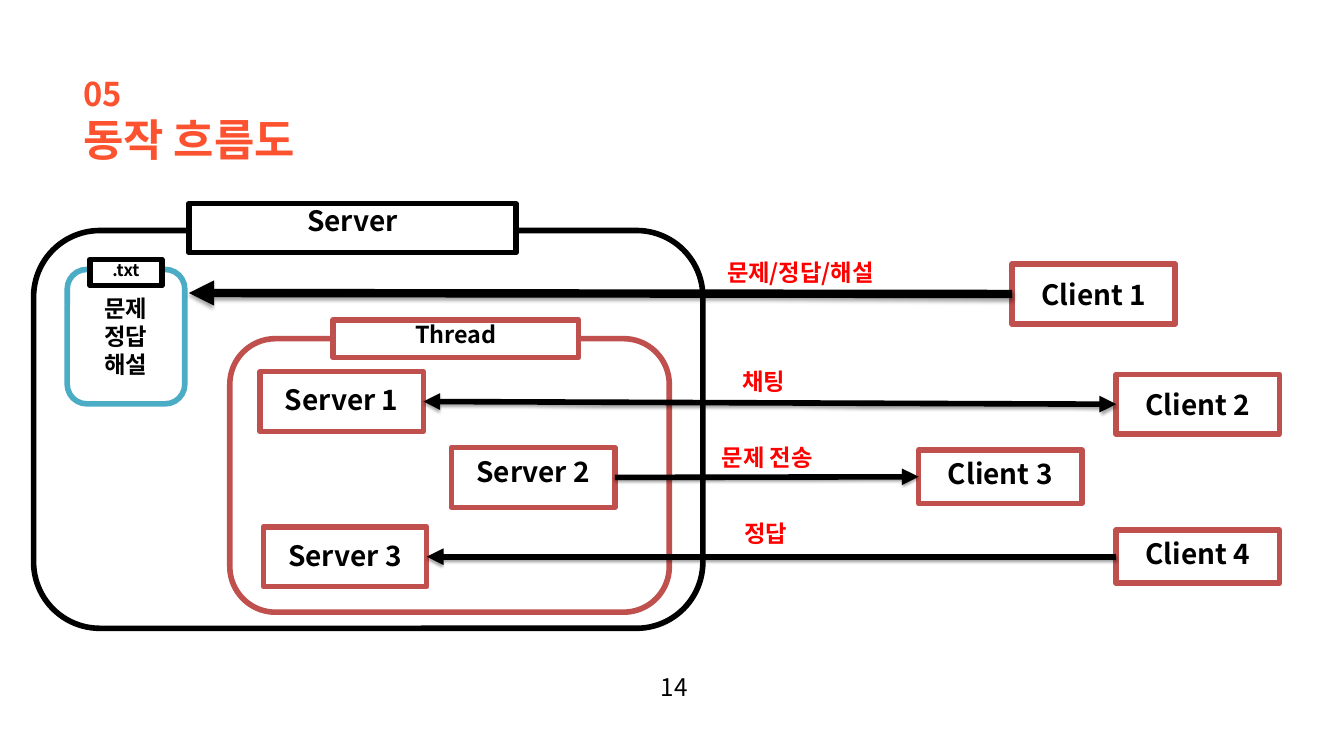
"""Build the slide that shows how the server and its clients exchange data."""
from dataclasses import dataclass

from lxml.etree import SubElement as Sub
from pptx import Presentation
from pptx.dml.color import RGBColor as Rgb
from pptx.enum.shapes import MSO_CONNECTOR as Conn, MSO_SHAPE as Kind
from pptx.enum.text import MSO_ANCHOR as Anchor, PP_ALIGN as Align
from pptx.oxml.ns import qn
from pptx.util import Emu, Pt

SCALE = 9144
TOP, LEFT, BOTTOM, RIGHT = range(4)


@dataclass(frozen=True)
class Theme:
    """Hold the colours, fonts and type sizes of the slide."""
    ink: str = "000000"
    paper: str = "FFFFFF"
    title: str = "FC5230"
    label: str = "FF0000"
    red: str = "C0504D"
    blue: str = "4BACC6"
    font: str = "Noto Sans CJK KR"
    plain: str = "Calibri"
    head: int = 47
    num: int = 35
    node: int = 30
    page: int = 26
    note: int = 25
    file: int = 18
    line: int = 6
    thick: int = 9


THEME = Theme()


def px(n):
    """Turn px into EMU."""
    return Emu(round(n * SCALE))


def write(shape, lines, size, color=THEME.ink, align=Align.CENTER,
          font=THEME.font, bold=True, side=0, top=0, anchor=Anchor.TOP):
    """Fill a shape with one paragraph per line."""
    frame = shape.text_frame
    frame.word_wrap = True
    frame.vertical_anchor = anchor
    frame.margin_left = frame.margin_right = px(side)
    frame.margin_top, frame.margin_bottom = px(top), 0
    for i, line in enumerate(lines):
        para = frame.add_paragraph() if i else frame.paragraphs[0]
        para.alignment = align
        run = para.add_run()
        run.text = line
        run.font.size, run.font.bold, run.font.name = Pt(size), bold, font
        run.font.color.rgb = Rgb.from_string(color)
        Sub(run.font._element, qn("a:ea"), typeface=font)


def add_box(shapes, area, color, kind=Kind.RECTANGLE):
    """Add a white outlined shape."""
    box = shapes.add_shape(kind, *map(px, area))
    box.shadow.inherit = False
    box.fill.solid()
    box.fill.fore_color.rgb = Rgb.from_string(THEME.paper)
    box.line.color.rgb = Rgb.from_string(color)
    box.line.width = Pt(THEME.line)
    return box


def add_tag(shapes, area, text, size, color):
    """Add a box that names a frame."""
    write(add_box(shapes, area, color), [text], size)


def add_node(shapes, x, y, high, top, text):
    """Add a server or client box."""
    node = add_box(shapes, (x, y, 243, high), THEME.red)
    write(node, [text], THEME.node, top=top)
    return node


def add_text(shapes, area, text, size, color, **style):
    """Add a line of free text."""
    box = shapes.add_textbox(*map(px, area))
    write(box, [text], size, color, **style)


def add_label(shapes, x, y, text):
    """Add the red label of an arrow."""
    add_text(shapes, (x, y, 397, 86), text, THEME.note, THEME.label,
             align=Align.JUSTIFY, side=7)


def add_arrow(shapes, start, end=None, spot=(0, 0), sides=(RIGHT, LEFT),
              width=THEME.line, both=False):
    """Join two nodes, or a node and a spot, with a shaded arrow."""
    link = shapes.add_connector(Conn.STRAIGHT, 0, 0, *map(px, spot))
    link.begin_connect(start, sides[0])
    if end is not None:
        link.end_connect(end, sides[1])
    link.line.color.rgb = Rgb.from_string(THEME.ink)
    link.line.width = Pt(width)
    stroke = link.line._get_or_add_ln()
    for tip in ("a:headEnd", "a:tailEnd") if both else ("a:tailEnd",):
        Sub(stroke, qn(tip), type="triangle")
    shade = Sub(Sub(link._element.spPr, qn("a:effectLst")), qn("a:outerShdw"),
                blurRad="40000", dist="23000", dir="5400000", rotWithShape="0")
    Sub(Sub(shade, qn("a:srgbClr"), val=THEME.ink), qn("a:alpha"), val="35000")


def add_file(shapes):
    """Add the grouped text file."""
    group = shapes.add_group_shape().shapes
    body = add_box(group, (100, 401, 175, 200), THEME.blue, Kind.ROUNDED_RECTANGLE)
    write(body, ["문제", "정답", "해설"], THEME.note, font=THEME.plain,
          anchor=Anchor.MIDDLE)
    add_tag(group, (134, 386, 107, 39), ".txt", THEME.file, THEME.ink)


def add_head(shapes):
    """Add the title, its number and the page number."""
    style = dict(color=THEME.title, align=Align.JUSTIFY, side=7)
    add_text(shapes, (117, 168, 703, 125), "동작 흐름도", THEME.head, **style)
    add_text(shapes, (117, 110, 99, 91), "05", THEME.num, **style)
    add_text(shapes, (973, 1000, 61, 58), "14", THEME.page, THEME.ink, bold=False)


def main():
    """Build and save the slide."""
    deck = Presentation()
    deck.slide_width, deck.slide_height = px(2000), px(1125)
    shapes = deck.slides.add_slide(deck.slide_layouts[6]).shapes

    add_head(shapes)
    add_box(shapes, (50, 343, 996, 592), THEME.ink, Kind.ROUNDED_RECTANGLE)
    add_tag(shapes, (281, 303, 487, 73), "Server", THEME.node, THEME.ink)
    add_box(shapes, (342, 504, 654, 407), THEME.red, Kind.ROUNDED_RECTANGLE)
    add_tag(shapes, (496, 476, 365, 56), "Thread", THEME.note, THEME.red)
    add_file(shapes)

    servers = [add_node(shapes, x, y, 89, top, f"Server {i}")
               for i, (x, y, top) in enumerate(
                   [(387, 553, 16), (672, 666, 10), (392, 784, 18)], 1)]
    clients = [add_node(shapes, x, y, high, top, f"Client {i}")
               for i, (x, y, high, top) in enumerate(
                   [(1506, 393, 89, 20), (1661, 557, 89, 20),
                    (1367, 670, 79, 10), (1661, 789, 79, 10)], 1)]

    add_arrow(shapes, clients[0], spot=(281, 436), sides=(LEFT, None),
              width=THEME.thick)
    add_arrow(shapes, servers[0], clients[1], both=True)
    add_arrow(shapes, servers[1], clients[2])
    add_arrow(shapes, clients[3], servers[2], sides=(LEFT, RIGHT))

    for x, y, text in [(1075, 384, "문제/정답/해설"), (1098, 546, "채팅"),
                       (1067, 659, "문제 전송"), (1101, 773, "정답")]:
        add_label(shapes, x, y, text)
    deck.save("out.pptx")


if __name__ == "__main__":
    main()
